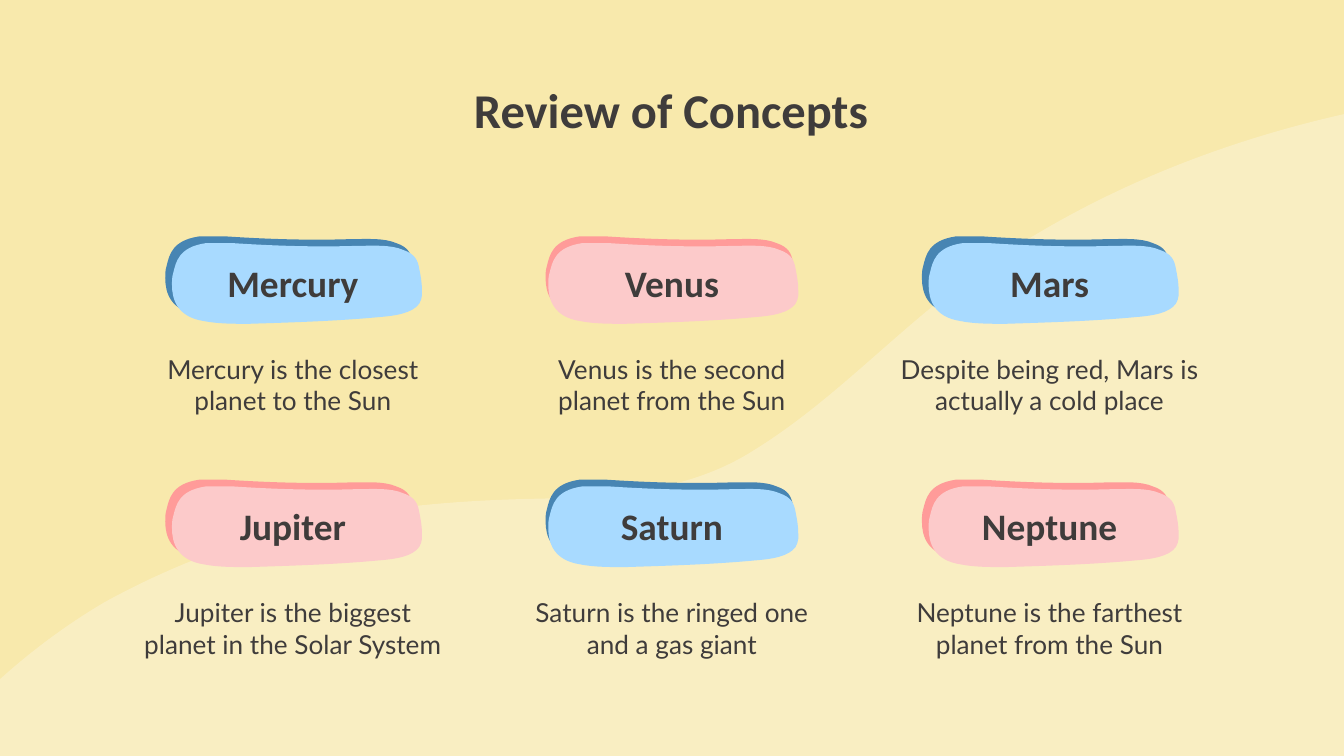
from lxml.etree import SubElement
from pptx import Presentation
from pptx.dml.color import RGBColor
from pptx.enum.text import MSO_ANCHOR, PP_ALIGN
from pptx.oxml.ns import qn
from pptx.util import Pt

SCALE = 9144
INK = "3F3C3B"
BLUE = ("4785B3", "A8DAFF")
PINK = ("FF9B99", "FCCACA")
WAVE = [
    (1004, 84),
    (1000, 85, 995, 86, 991, 87),
    (881, 113, 776, 160, 689, 232),
    (647, 267, 608, 306, 561, 335),
    (514, 365, 459, 369, 404, 371),
    (347, 372, 290, 376, 234, 389),
    (180, 401, 127, 421, 78, 448),
    (49, 465, 21, 486, -4, 509),
    (-4, 599),
    (1004, 599),
]
BLOB = [
    (186, 35),
    (186, 29, 185, 24, 184, 19),
    (183, 13, 181, 8, 172, 5),
    (163, 1, 150, 2, 138, 2),
    (107, 3, 76, 2, 46, 0),
    (39, 0, 31, 0, 25, 0),
    (5, 3, 3, 14, 1, 22),
    (0, 25, 0, 28, 0, 31),
    (0, 42, 4, 55, 24, 58),
    (34, 60, 46, 60, 57, 60),
    (89, 59, 122, 58, 154, 55),
    (167, 54, 179, 52, 184, 45),
    (185, 43, 186, 41, 186, 39),
    (186, 37, 186, 36, 186, 35),
]
COLS = [(96, 123, 128), (378, 406, 408), (659, 686, 691)]
ROWS = [186, 367]
CARDS = [
    ("Mercury", "Mercury is the closest planet to the Sun", BLUE),
    ("Venus", "Venus is the second planet from the Sun", PINK),
    ("Mars", "Despite being red, Mars is actually a cold place", BLUE),
    ("Jupiter", "Jupiter is the biggest planet in the Solar System", PINK),
    ("Saturn", "Saturn is the ringed one and a gas giant", BLUE),
    ("Neptune", "Neptune is the farthest planet from the Sun", PINK),
]


def px(n):
    return n * SCALE


def rgb(code):
    return RGBColor.from_string(code)


class Deck:
    def __init__(self, wide, back):
        self.prs = Presentation()
        self.prs.slide_width = px(wide)
        self.prs.slide_height = px(wide) * 9 // 16
        self.slide = self.prs.slides.add_slide(self.prs.slide_layouts[6])
        fill = self.slide.background.fill
        fill.solid()
        fill.fore_color.rgb = rgb(back)

    def curve(self, steps, color, left=0, top=0, alpha=None):
        ends = [step[-2:] for step in steps]
        pen = self.slide.shapes.build_freeform(*ends[0], scale=SCALE)
        pen.add_line_segments(ends[1:], close=True)
        shape = pen.convert_to_shape(px(left), px(top))
        low = [min(axis) for axis in zip(*ends)]
        lines = list(shape.element.iter(qn("a:lnTo")))
        for line, step in zip(lines, steps[1:]):
            if len(step) == 6:
                bend = line.makeelement(qn("a:cubicBezTo"))
                for i in (0, 2, 4):
                    SubElement(bend, qn("a:pt"), x=str(step[i] - low[0]),
                               y=str(step[i + 1] - low[1]))
                line.getparent().replace(line, bend)
        shape.shadow.inherit = False
        shape.line.fill.background()
        shape.fill.solid()
        shape.fill.fore_color.rgb = rgb(color)
        if alpha:
            tone = next(shape.element.spPr.iter(qn("a:srgbClr")))
            SubElement(tone, qn("a:alpha"), val=str(alpha * 1000))

    def text(self, words, left, top, wide, high, size, head=True):
        box = self.slide.shapes.add_textbox(px(left), px(top), px(wide), px(high))
        frame = box.text_frame
        frame.word_wrap = True
        frame.margin_left = frame.margin_right = px(10)
        frame.margin_top = frame.margin_bottom = px(10)
        frame.vertical_anchor = MSO_ANCHOR.BOTTOM if head else MSO_ANCHOR.TOP
        para = frame.paragraphs[0]
        para.text = words
        para.alignment = PP_ALIGN.CENTER
        font = para.font
        font.name = "Calibri" if head else "Lato"
        font.size, font.bold = Pt(size), head
        font.color.rgb = rgb(INK)

    def card(self, name, fact, tones, col, top):
        left, back, front = col
        self.curve(BLOB, tones[0], back, top - 10)
        self.curve(BLOB, tones[1], front, top - 5)
        self.text(name, left, top, 244, 51, 20)
        self.text(fact, left, top + 67, 244, 65, 14, head=False)


def main():
    deck = Deck(1000, "F8E9AC")
    deck.curve(WAVE, "FFFFFF", alpha=27)
    deck.text("Review of Concepts", 56, 62, 887, 51, 26)
    for i, card in enumerate(CARDS):
        row, col = divmod(i, len(COLS))
        deck.card(*card, COLS[col], ROWS[row])
    deck.prs.save("out.pptx")


if __name__ == "__main__":
    main()
